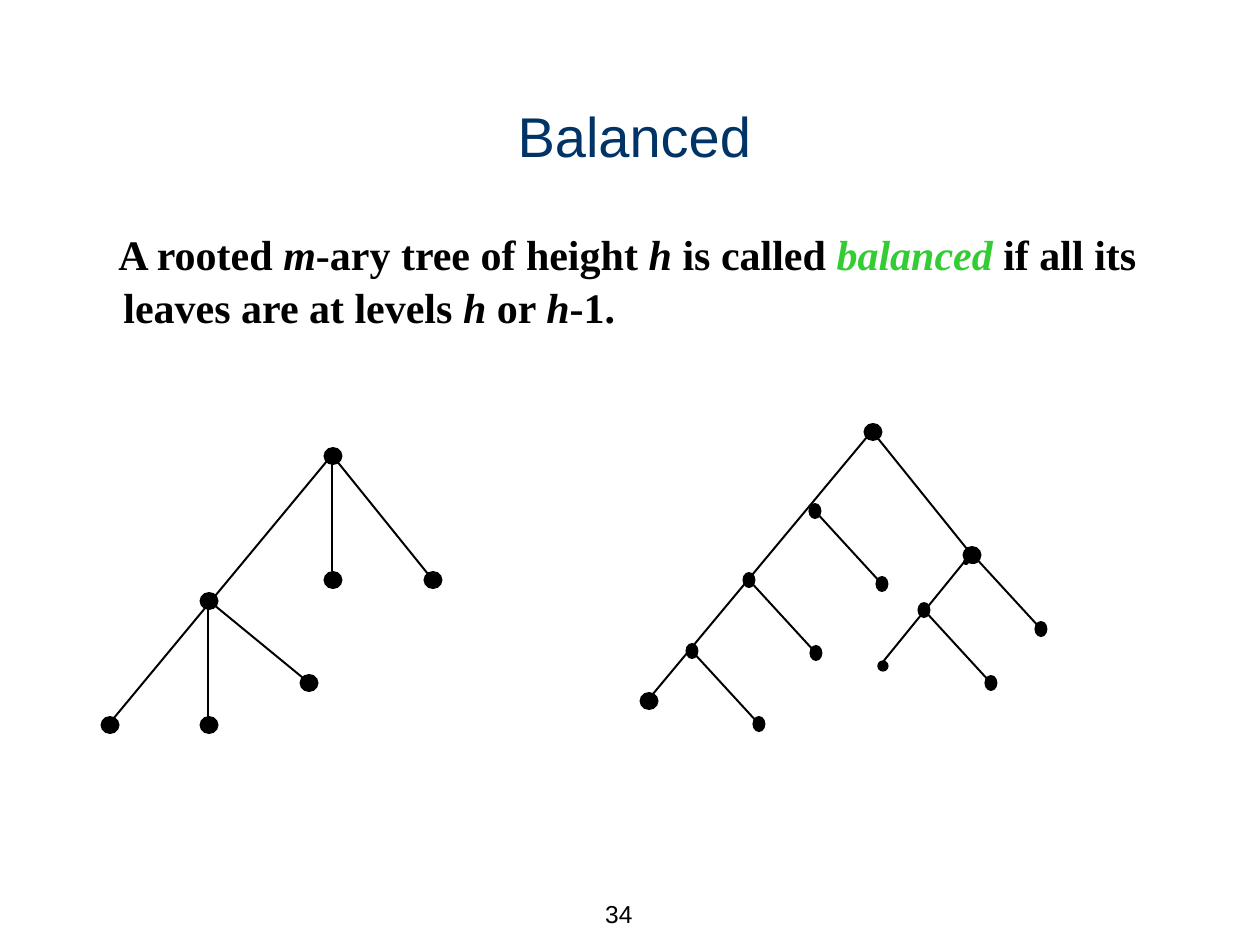
from pptx import Presentation, util as u
from pptx.dml.color import RGBColor
from pptx.enum import shapes, text
from pptx.oxml import xmlchemy as ox

BLACK = "000000"
BIG, OVAL, DOT, TIP = (19, 18), (13, 16), (6, 6), (10, 10)


def px(n):
    return u.Emu(round(n * 914400 / 126))


def color(code):
    return RGBColor.from_string(code)


def label(slide, box, align, anchor, wrap=True):
    """Add a text box and return its first paragraph."""
    frame = slide.shapes.add_textbox(*map(px, box)).text_frame
    frame.word_wrap = wrap
    frame.vertical_anchor = anchor
    para = frame.paragraphs[0]
    para.alignment = align
    return para


def style(para, face, size, code):
    para.font.name = face
    para.font.size = u.Pt(size)
    para.font.color.rgb = color(code)


def node(slide, x, y, size):
    """Add a black dot centred on x, y."""
    wide, high = size
    dot = slide.shapes.add_shape(
        shapes.MSO_SHAPE.OVAL,
        px(x - wide / 2), px(y - high / 2), px(wide), px(high))
    dot.shadow.inherit = False
    dot.fill.solid()
    dot.fill.fore_color.rgb = color(BLACK)
    dot.line.fill.background()
    return dot


def edge(slide, x1, y1, x2, y2):
    line = slide.shapes.add_connector(
        shapes.MSO_CONNECTOR.STRAIGHT, px(x1), px(y1), px(x2), px(y2))
    line.line.color.rgb = color(BLACK)
    line.line.width = u.Pt(1.13)
    line._element.spPr.append(ox.OxmlElement("a:effectLst"))


def tree(slide, nodes, links, size):
    """Draw the links between numbered nodes, then the nodes."""
    for a, b in links:
        (x1, y1), (x2, y2) = nodes[a], nodes[b]
        edge(slide, x1 - 1, y1 - 1, x2 - 1, y2 - 1)
    for x, y in nodes:
        node(slide, x, y, size)


def body(slide):
    para = label(slide, (63, 220, 1134, 142), text.PP_ALIGN.LEFT,
                 text.MSO_ANCHOR.TOP)
    props = para._p.get_or_add_pPr()
    props.set("marL", str(px(48)))
    props.set("indent", str(px(-5)))
    para.line_spacing = 1.05
    style(para, "Times New Roman", 24, BLACK)
    para.font.bold = True
    parts = ["A rooted ", "m", "-ary tree of height ", "h", " is called ",
             "balanced", " if all its leaves are at levels ", "h", " or ",
             "h", "-1."]
    for i, part in enumerate(parts):
        run = para.add_run()
        run.text = part
        run.font.italic = i % 2 == 1
        if part == "balanced":
            run.font.color.rgb = color("33CC33")


def main():
    deck = Presentation()
    deck.slide_width, deck.slide_height = px(1260), px(945)
    slide = deck.slides.add_slide(deck.slide_layouts[6])

    # Page number, title and definition
    page = label(slide, (561, 882, 84, 63), text.PP_ALIGN.RIGHT,
                 text.MSO_ANCHOR.MIDDLE, False)
    page.text = "34"
    style(page, "Arial", 14, BLACK)
    title = label(slide, (53, 91, 1163, 84), text.PP_ALIGN.CENTER,
                  text.MSO_ANCHOR.BOTTOM)
    title.text = "Balanced"
    style(title, "Arial", 32, "003366")
    body(slide)

    # Ternary tree
    tree(slide,
         [(333, 456), (333, 580), (433, 580), (209, 601),
          (110, 725), (209, 725), (309, 683)],
         [(0, 4), (0, 1), (0, 2), (3, 5), (3, 6)], BIG)

    # Binary tree: main branches
    tree(slide, [(873, 432), (649, 701), (972, 555)], [(0, 1), (0, 2)], BIG)

    # Binary tree: right twigs, all of one length
    for x, y in [(815, 511), (749, 580), (692, 651), (974, 556), (924, 610)]:
        tree(slide, [(x, y), (x + 67, y + 73)], [(0, 1)], OVAL)

    # Binary tree: left twig and its leaf
    tree(slide, [(966, 562), (883, 664)], [(0, 1)], DOT)
    leaf = node(slide, 883, 666, TIP)
    leaf.line.color.rgb = color(BLACK)
    leaf.line.width = u.Pt(0.75)

    deck.save("out.pptx")


if __name__ == "__main__":
    main()
